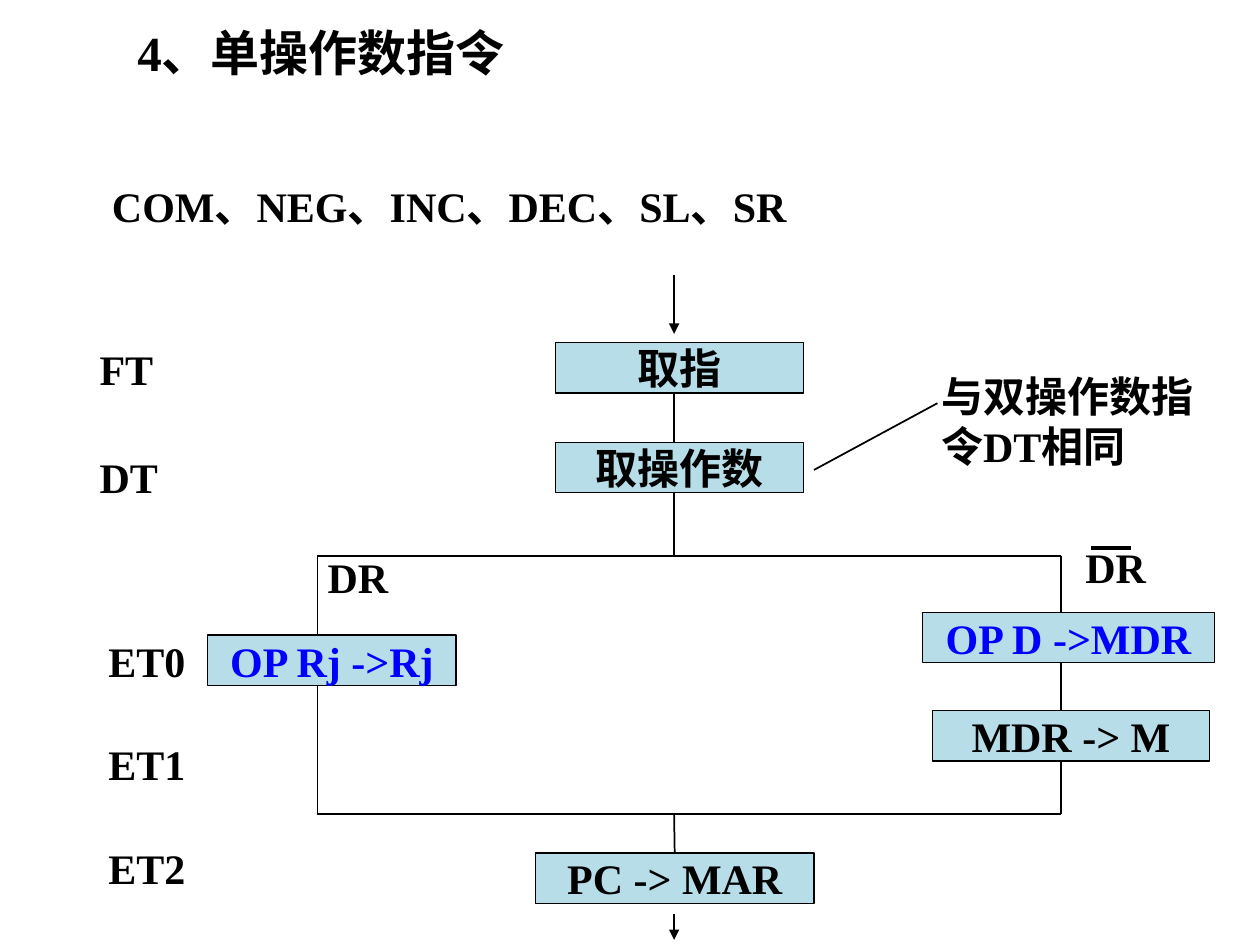
from lxml.etree import SubElement
from pptx import Presentation
from pptx.dml.color import RGBColor
from pptx.enum.shapes import MSO_CONNECTOR, MSO_SHAPE
from pptx.enum.text import MSO_ANCHOR, MSO_AUTO_SIZE, PP_ALIGN
from pptx.oxml.ns import qn
from pptx.util import Inches, Pt

BLACK = RGBColor(0x00, 0x00, 0x00)
BLUE = RGBColor(0x00, 0x00, 0xFF)
PALE = RGBColor(0xB7, 0xDE, 0xE8)
WIDE, HIGH = Inches(10), Inches(7.5)
COLS, ROWS = 100, 75
LEFT, MID, RIGHT = 25.2, 53.5, 84.2
FORK, JOIN = 44.1, 64.6
TALL = 4
SIDES = ("margin_left", "margin_top", "margin_right", "margin_bottom")
FONT = {"name": "Times New Roman", "size": Pt(24), "bold": True}
FRAME = {
    "word_wrap": True,
    "auto_size": MSO_AUTO_SIZE.SHAPE_TO_FIT_TEXT,
    "vertical_anchor": MSO_ANCHOR.TOP,
}


def put(item, values):
    for name, value in values.items():
        setattr(item, name, value)


def col(count):
    return round(WIDE * count / COLS)


def row(count):
    return round(HIGH * count / ROWS)


def area(x, y, wide, high):
    return col(x), row(y), col(wide), row(high)


def write(shape, words, color=BLACK, align=PP_ALIGN.LEFT, tight=True, **extra):
    frame = shape.text_frame
    put(frame, FRAME)
    if tight:
        put(frame, dict.fromkeys(SIDES, 0))
    frame.text = words
    para = frame.paragraphs[0]
    para.alignment = align
    font = para.runs[0].font
    put(font, FONT | extra)
    font.color.rgb = color


def title(slide, words, x, y, wide, high):
    head = slide.shapes.title
    names = ("left", "top", "width", "height")
    put(head, dict(zip(names, area(x, y, wide, high))))
    write(head, words, tight=False, size=Pt(28))


def label(slide, words, x, y, wide, high=TALL, **style):
    text = slide.shapes.add_textbox(*area(x, y, wide, high))
    write(text, words, **style)


def step(slide, words, x, y, wide, color=BLACK):
    box = slide.shapes.add_shape(MSO_SHAPE.RECTANGLE, *area(x, y, wide, TALL))
    box.shadow.inherit = False
    box.fill.solid()
    box.fill.fore_color.rgb = PALE
    box.line.color.rgb = BLACK
    box.line.width = Pt(0.75)
    write(box, words, color, PP_ALIGN.CENTER)
    return box


def line(slide, x1, y1, x2, y2, width=1, arrow=False):
    link = slide.shapes.add_connector(
        MSO_CONNECTOR.STRAIGHT, col(x1), row(y1), col(x2), row(y2)
    )
    link.line.color.rgb = BLACK
    link.line.width = Pt(width)
    props = link._element.spPr
    SubElement(props, qn("a:effectLst"))
    if arrow:
        SubElement(link.line._get_or_add_ln(), qn("a:tailEnd"), type="triangle")
    return link


def flow(slide):
    line(slide, MID, 21.8, MID, 26.5, arrow=True)
    line(slide, MID, 30.4, MID, FORK)
    for y in (FORK, JOIN):
        line(slide, LEFT, y, RIGHT, y)
    for x in (LEFT, RIGHT):
        line(slide, x, FORK, x, JOIN)
    stem = line(slide, MID, JOIN, MID, 67.7)
    line(slide, MID, 72.5, MID, 74.6, arrow=True)
    line(slide, 74.4, 32, 64.6, 37.3)
    line(slide, 86.6, 43.5, 89.8, 43.5, width=2)

    step(slide, "取指", 44.1, 27.2, 19.7)
    step(slide, "取操作数", 44.1, 35.1, 19.7)
    step(slide, "OP Rj ->Rj", 16.5, 50.4, 19.7, BLUE)
    step(slide, "OP D ->MDR", 73.2, 48.6, 23.2, BLUE)
    step(slide, "MDR -> M", 74, 56.4, 22)
    last = step(slide, "PC -> MAR", 42.5, 67.7, 22.1)
    stem.end_connect(last, 0)


def notes(slide):
    label(slide, "COM、NEG、INC、DEC、SL、SR", 7.9, 13.8, 83.9, 5, tight=False)
    label(slide, "与双操作数指令DT相同", 73.7, 28.9, 24.9, 9.1, tight=False)
    label(slide, "DR", 26, 43.8, 11)
    label(slide, "DR", RIGHT, 43, 8.7, align=PP_ALIGN.CENTER)
    for words, y in (("FT", 27.3), ("DT", 35.8)):
        label(slide, words, 7.9, y, 8.7)
    for rank in range(3):
        label(slide, f"ET{rank}", 8.6, 50.4 + 8.25 * rank, 8.7)


def main():
    deck = Presentation()
    put(deck, {"slide_width": WIDE, "slide_height": HIGH})
    slide = deck.slides.add_slide(deck.slide_layouts[5])
    title(slide, "4、单操作数指令", 9.9, 1.3, 37.8, 5.7)
    flow(slide)
    notes(slide)
    deck.save("out.pptx")


if __name__ == "__main__":
    main()
